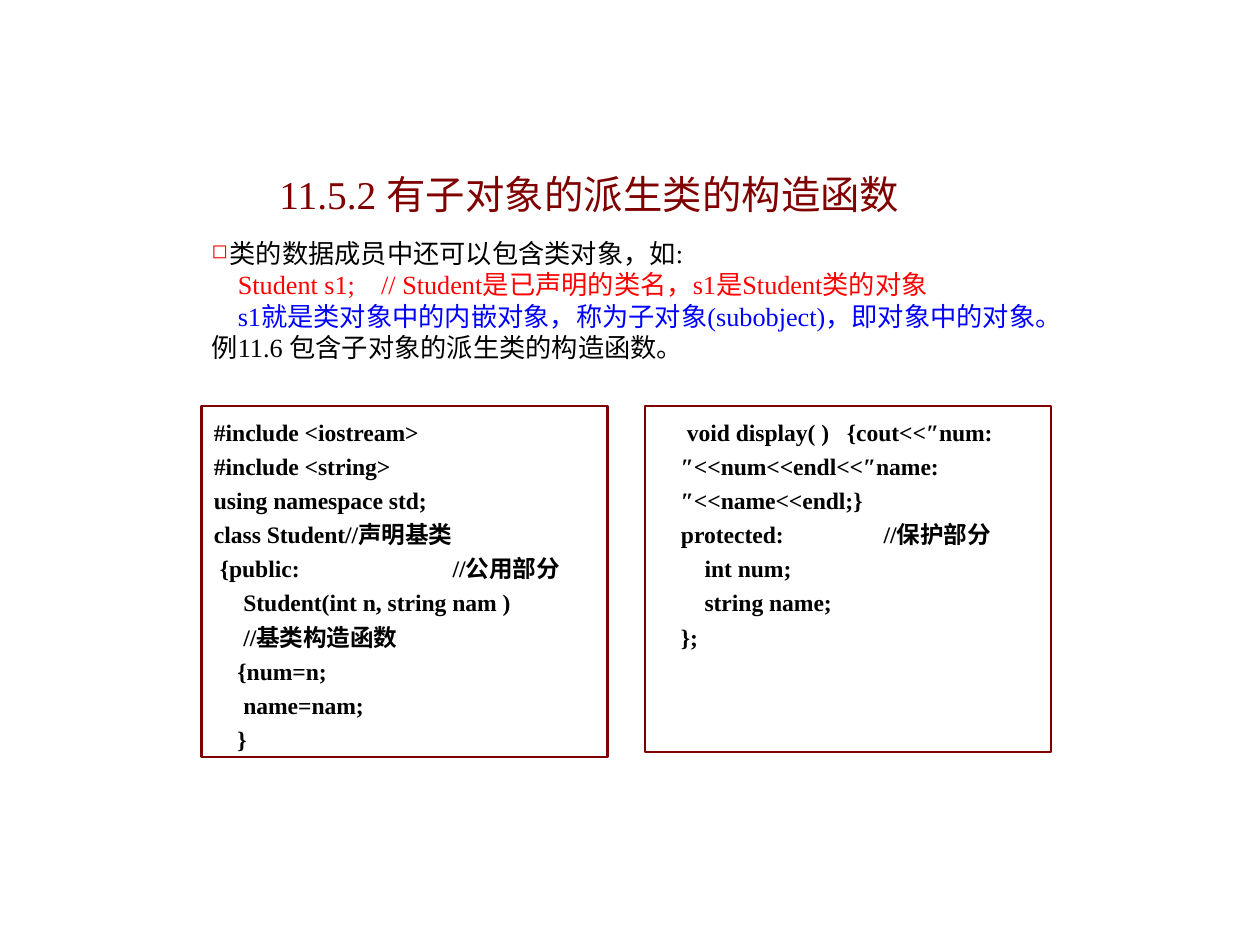
from lxml import etree
from pptx import Presentation
from pptx.dml.color import RGBColor
from pptx.enum.shapes import MSO_SHAPE
from pptx.enum.text import MSO_ANCHOR, PP_ALIGN
from pptx.oxml.ns import qn
from pptx.util import Pt

RECTANGLE = MSO_SHAPE.RECTANGLE
TOP = MSO_ANCHOR.TOP
LEFT = PP_ALIGN.LEFT

BLACK, MAROON, RED, BLUE = "000000", "800000", "FF0000", "0000FF"

CONSTRUCTOR_CODE = [
    "#include <iostream>",
    "#include <string>",
    "using namespace std;",
    "class Student//声明基类",
    " {public:                          //公用部分",
    "     Student(int n, string nam )",
    "     //基类构造函数",
    "    {num=n;",
    "     name=nam;",
    "    }",
]
MEMBER_CODE = [
    " void display( )   {cout<<″num:″<<num<<endl<<″name:″<<name<<endl;}",
    "protected:                 //保护部分",
    "    int num;",
    "    string name;",
    "};",
]


def color(hex_string):
    return RGBColor.from_string(hex_string)


class LessonSlide:
    font = "Times New Roman"
    title_size = 22.5
    body_size = 15
    code_size = 13.5
    code_leading = 19.5

    def __init__(self, presentation):
        self.slide = presentation.slides.add_slide(presentation.slide_layouts[6])

    def text_box(self, left, top, width, height):
        box = self.slide.shapes.add_textbox(Pt(left), Pt(top), Pt(width), Pt(height))
        return self.prepare(box.text_frame)

    def prepare(self, frame):
        frame.word_wrap = True
        frame.vertical_anchor = TOP
        return frame

    def paragraph(self, frame, index, text, size, hue, bold=False, margin=0, indent=0, bullet=None):
        line = frame.paragraphs[0] if index == 0 else frame.add_paragraph()
        line.alignment = LEFT
        properties = line._p.get_or_add_pPr()
        properties.set("marL", str(Pt(margin)))
        properties.set("indent", str(Pt(indent)))
        if bullet:
            bullet_color = etree.SubElement(properties, qn("a:buClr"))
            etree.SubElement(bullet_color, qn("a:srgbClr"), val=RED)
            etree.SubElement(properties, qn("a:buSzPct"), val="75000")
            etree.SubElement(properties, qn("a:buChar"), char=bullet)
        run = line.add_run()
        run.text = text
        run.font.name = self.font
        run.font.size = Pt(size)
        run.font.bold = bold
        run.font.color.rgb = color(hue)
        return line

    def title(self, text):
        frame = self.text_box(152.6, 80, 476, 40)
        heading = self.paragraph(frame, 0, text, self.title_size, MAROON)
        heading.line_spacing = 1.5

    def body(self, lines):
        frame = self.text_box(113.8, 131.8, 495, 90)
        for index, (text, hue, layout) in enumerate(lines):
            self.paragraph(frame, index, text, self.body_size, hue, **layout)

    def code_panel(self, left, height, lines, margin=0):
        panel = self.slide.shapes.add_shape(RECTANGLE, Pt(left), Pt(231.8), Pt(232), Pt(height))
        panel.shadow.inherit = False
        panel.fill.background()
        panel.line.color.rgb = color(MAROON)
        panel.line.width = Pt(1.25)
        frame = self.prepare(panel.text_frame)
        for index, text in enumerate(lines):
            line = self.paragraph(frame, index, text, self.code_size, BLACK, bold=True, margin=margin)
            line.line_spacing = Pt(self.code_leading)


def main():
    presentation = Presentation()
    presentation.slide_width = Pt(720)
    presentation.slide_height = Pt(540)

    lesson = LessonSlide(presentation)
    lesson.title("11.5.2 有子对象的派生类的构造函数")
    lesson.body([
        ("类的数据成员中还可以包含类对象，如:", BLACK, {"margin": 10.3, "indent": -10.3, "bullet": "◻"}),
        ("Student s1;    // Student是已声明的类名，s1是Student类的对象", RED, {"indent": 15}),
        ("s1就是类对象中的内嵌对象，称为子对象(subobject)，即对象中的对象。", BLUE, {"indent": 15}),
        ("例11.6 包含子对象的派生类的构造函数。", BLACK, {}),
    ])
    lesson.code_panel(368.6, 198, MEMBER_CODE, margin=13.5)
    lesson.code_panel(115.2, 201, CONSTRUCTOR_CODE)

    presentation.save("out.pptx")


if __name__ == "__main__":
    main()
